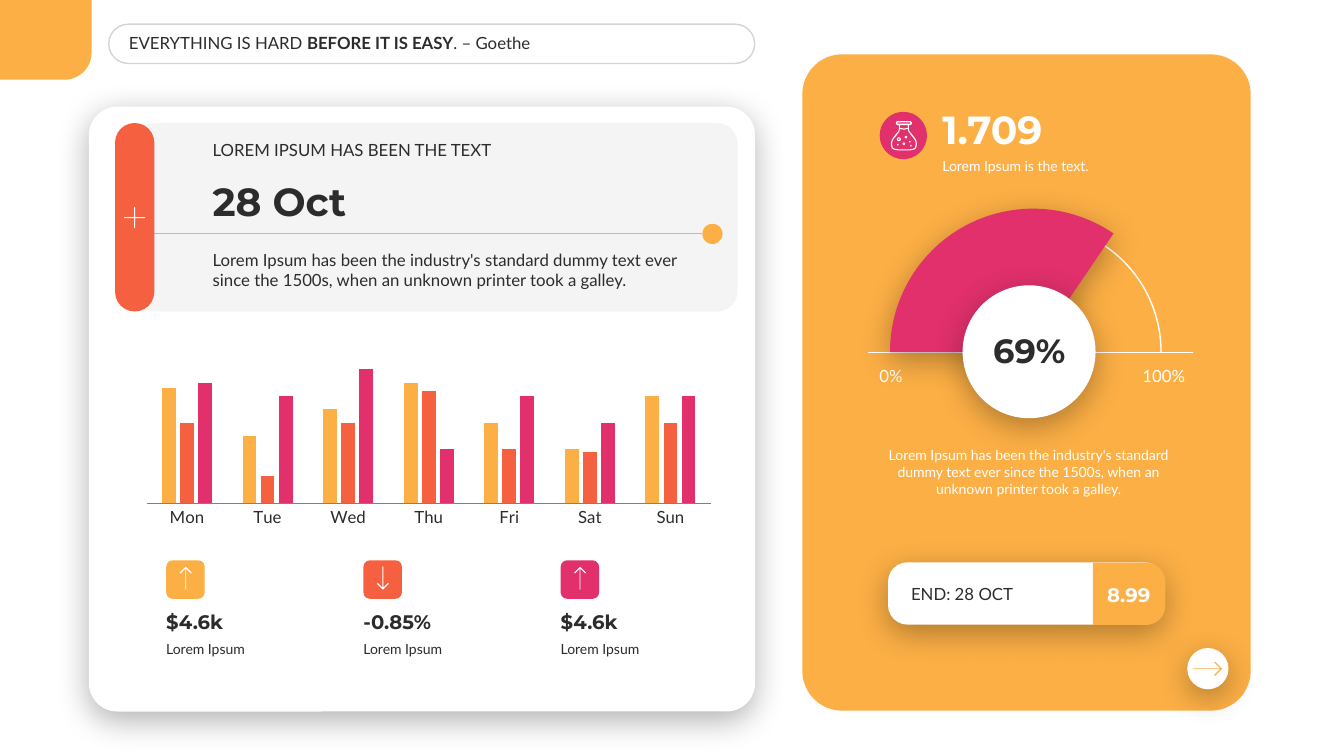
import math
import pptx
import pptx.chart.data
import pptx.dml.color
import pptx.enum.chart
import pptx.enum.shapes
import pptx.enum.text
import pptx.oxml.ns
import pptx.util

Cm, Pt, qn = pptx.util.Cm, pptx.util.Pt, pptx.oxml.ns.qn
SHAPE = pptx.enum.shapes.MSO_SHAPE
ANCHOR, ALIGN = pptx.enum.text.MSO_ANCHOR, pptx.enum.text.PP_ALIGN
AMBER, CORAL, PINK, WHITE, INK = "FCAF45", "F56040", "E1306C", "FFFFFF", "2C2C2C"
UP, DOWN, RIGHT = (0, -1), (0, 1), (1, 0)
CENTRED = {"align": ALIGN.CENTER, "anchor": ANCHOR.MIDDLE}
DUMMY = ("Lorem Ipsum has been the industry's standard dummy text ever since the 1500s, "
         "when an unknown printer took a galley.")

def colour(value):
    return pptx.dml.color.RGBColor.from_string(value)

def set_all(target, values):
    for name, value in values.items():
        setattr(target, name, value)

def add_xml(parent, tag, **attributes):
    child = parent.makeelement(qn(tag), {name: str(value) for name, value in attributes.items()})
    parent.append(child)
    return child

def set_alpha(shape, percent):
    for rgb in shape._element.spPr.iter(qn("a:srgbClr")):
        add_xml(rgb, "a:alpha", val=percent * 1000)

def paint(shape, fill=None, line=None, width=1):
    shape.shadow.inherit = False
    for part, value in ((shape.fill, fill), (shape.line.fill, line)):
        if value:
            part.solid()
            part.fore_color.rgb = colour(value)
        else:
            part.background()
    shape.line.width = Pt(width)

def add_figure(slide, kind, box, fill=None, line=None, adjust=(), shadow=False):
    shape = slide.shapes.add_shape(kind, *map(Cm, box))
    paint(shape, fill, line)
    for index, value in enumerate(adjust):
        shape.adjustments[index] = value
    if shadow:
        outer = add_xml(shape._element.spPr.find(qn("a:effectLst")), "a:outerShdw", blurRad=Pt(23),
                        dist=Pt(6), dir=5400000, algn="t", rotWithShape=0)
        add_xml(add_xml(outer, "a:srgbClr", val="000000"), "a:alpha", val=30000)
    return shape

def add_line(slide, start, end, line, width):
    connector = slide.shapes.add_connector(pptx.enum.shapes.MSO_CONNECTOR.STRAIGHT, *map(Cm, start + end))
    set_all(connector.line, {"width": Pt(width)})
    connector.line.color.rgb = colour(line)
    add_xml(connector._element.spPr, "a:effectLst")

def write_text(box, runs, size, font="Lato", ink=INK, align=ALIGN.LEFT, anchor=ANCHOR.TOP,
               side=0.25, edge=0.13, wrap=True):
    set_all(box.text_frame, {
        "word_wrap": wrap, "vertical_anchor": anchor, "margin_left": Cm(side), "margin_right": Cm(side),
        "margin_top": Cm(edge), "margin_bottom": Cm(edge),
        "auto_size": pptx.enum.text.MSO_AUTO_SIZE.SHAPE_TO_FIT_TEXT})
    paragraph = box.text_frame.paragraphs[0]
    paragraph.alignment = align
    for text, bold in runs:
        run = paragraph.add_run()
        run.text = text
        set_all(run.font, {"name": font, "size": Pt(size), "bold": bold})
        run.font.color.rgb = colour(ink)

def add_text(slide, box, text, size=12, bold=False, **style):
    write_text(slide.shapes.add_textbox(*map(Cm, box)), [(text, bold)], size, **style)

def add_heading(slide, box, text, size, anchor=ANCHOR.BOTTOM, **style):
    add_text(slide, box, text, size, True, font="Montserrat", anchor=anchor, **style)

def add_outline(slide, contours, fill):
    contours = [[(Cm(x), Cm(y)) for x, y in contour] for contour in contours]
    builder = slide.shapes.build_freeform(*contours[0][0])
    for contour in contours:
        builder.move_to(*contour[0])
        builder.add_line_segments(contour[1:], close=True)
    paint(builder.convert_to_shape(), fill)

def add_arrow(slide, centre, direction, length, head, fill):
    half, slant, tip = 0.01, 0.02, length / 2
    side = [(-tip, -half), (tip - 2 * slant - half, -half),
            (tip - head - slant, slant - head), (tip - head, -head)]
    points = side + [(tip, 0)] + [(x, -y) for x, y in reversed(side)]
    (cx, cy), (dx, dy) = centre, direction
    add_outline(slide, [[(cx + x * dx - y * dy, cy + x * dy + y * dx) for x, y in points]], fill)

def add_flask(slide, left, top, unit=0.0254):
    # Right halves of the symmetric contours, on a grid 26 wide and 29 high
    halves = [
        [(13, 0), (19, 0), (20.5, 0.6), (21, 2), (20.5, 3.4), (19, 4), (18, 4), (18, 8), (18.6, 10.5),
         (21, 13), (24, 17), (25.5, 20), (26, 23), (25, 27), (22.5, 28.6), (19, 29), (13, 29)],
        [(13, 1.3), (19, 1.3), (19.7, 2), (19, 2.7), (13, 2.7)],
        [(13, 4), (17, 4), (17, 6.8), (13, 7.5)],
        [(13, 8.6), (17, 7.8), (17.5, 10.5), (20, 13.8), (23, 17.5), (24.4, 20), (24.8, 23),
         (24, 26.4), (22, 27.6), (19, 28), (13, 28)]]
    contours = [half + [(26 - x, y) for x, y in reversed(half)] for half in halves]
    angles = [step * math.pi / 6 for step in range(12)]
    for x, y, radius in [(8, 18, 2), (8, 18, 0.8), (15, 16, 1.3), (13, 22.5, 1.3), (7, 23.5, 0.8),
                         (20, 24.5, 0.8), (19, 20.5, 0.8)]:
        contours.append([(x + radius * math.cos(a), y + radius * math.sin(a)) for a in angles])
    add_outline(slide, [[(left + x * unit, top + y * unit) for x, y in c] for c in contours], WHITE)

def add_week_chart(slide, box):
    data = pptx.chart.data.CategoryChartData()
    data.categories = ["Mon", "Tue", "Wed", "Thu", "Fri", "Sat", "Sun"]
    data.add_series("Series 1", (86, 50, 70, 90, 60, 40, 80))
    data.add_series("Series 2", (60, 20, 60, 84, 40, 38, 60))
    data.add_series("Series 3", (90, 80, 100, 40, 80, 60, 80))
    kind = pptx.enum.chart.XL_CHART_TYPE.COLUMN_CLUSTERED
    chart = slide.shapes.add_chart(kind, *map(Cm, box), data).chart
    set_all(chart, {"has_legend": False, "has_title": False})
    set_all(chart.font, {"name": "Lato", "size": Pt(12)})
    chart.font.color.rgb = colour(INK)
    set_all(chart.plots[0], {"gap_width": 220, "overlap": -30, "vary_by_categories": False})
    for series, fill in zip(chart.plots[0].series, (AMBER, CORAL, PINK)):
        series.format.fill.solid()
        series.format.fill.fore_color.rgb = colour(fill)
    set_all(chart.value_axis, {"visible": False, "has_major_gridlines": False,
                               "minimum_scale": 0, "maximum_scale": 120})
    chart.category_axis.major_tick_mark = pptx.enum.chart.XL_TICK_MARK.NONE
    chart.category_axis.format.line.color.rgb = colour("808080")
    chart.category_axis.format.line.width = Pt(0.75)
    # Inner plot area as shares of the chart
    area = chart._chartSpace.find(".//" + qn("c:plotArea"))
    for old in area.findall(qn("c:layout")):
        area.remove(old)
    layout = add_xml(area, "c:layout")
    area.insert(0, layout)
    manual = add_xml(layout, "c:manualLayout")
    for tag, value in {"layoutTarget": "inner", "xMode": "edge", "yMode": "edge",
                       "x": 0.02, "y": 0.02, "w": 0.96, "h": 0.83}.items():
        add_xml(manual, "c:" + tag, val=value)

def add_header(slide):
    title = slide.shapes.title
    set_all(title, {"left": Cm(3.15), "top": Cm(0.71), "width": Cm(15.44), "height": Cm(0.76)})
    write_text(title, [("EVERYTHING IS HARD ", False), ("BEFORE IT IS EASY", True), (". – Goethe", False)],
               12, anchor=ANCHOR.MIDDLE, side=0.1)
    set_alpha(add_figure(slide, SHAPE.ROUNDED_RECTANGLE, (2.74, 0.61, 16.28, 0.99), None, INK, [0.5]), 20)
    corner = add_figure(slide, SHAPE.ROUND_1_RECTANGLE, (0, 0, 2.31, 2.01), AMBER, adjust=[0.34])
    corner._element.spPr.find(qn("a:xfrm")).set("flipV", "1")

def add_week_card(slide):
    add_figure(slide, SHAPE.ROUNDED_RECTANGLE, (2.24, 2.69, 16.79, 15.24), WHITE, None, [0.047], True)
    # Date banner
    set_alpha(add_figure(slide, SHAPE.ROUNDED_RECTANGLE, (3.4, 3.1, 15.19, 4.75), INK, None, [0.109]), 5)
    add_text(slide, (5.11, 6.17, 12.95, 1.27), DUMMY)
    add_heading(slide, (5.11, 4.34, 12.95, 1.45), "28 Oct", 28)
    add_text(slide, (5.11, 3.4, 12.95, 0.76), "LOREM IPSUM HAS BEEN THE TEXT", anchor=ANCHOR.BOTTOM)
    add_line(slide, (3.66, 5.89), (17.7, 5.89), AMBER, 0.5)
    add_figure(slide, SHAPE.OVAL, (17.7, 5.64, 0.51, 0.51), AMBER)
    add_figure(slide, SHAPE.ROUNDED_RECTANGLE, (2.9, 3.1, 0.99, 4.75), CORAL, adjust=[0.5])
    add_figure(slide, SHAPE.CROSS, (3.13, 5.22, 0.53, 0.53), WHITE, adjust=[0.48])
    # Chart and indicators
    add_week_chart(slide, (3.4, 8.53, 14.81, 4.88))
    indicators = [(AMBER, UP, "$4.6k"), (CORAL, DOWN, "-0.85%"), (PINK, UP, "$4.6k")]
    for index, (fill, direction, value) in enumerate(indicators):
        left = 4.19 + 4.97 * index
        add_figure(slide, SHAPE.ROUNDED_RECTANGLE, (left, 14.12, 0.97, 0.97), fill)
        add_arrow(slide, (left + 0.49, 14.57), direction, 0.58, 0.15, WHITE)
        add_text(slide, (left, 16, 3.58, 0.69), "Lorem Ipsum", 10, side=0)
        add_heading(slide, (left, 15.24, 3.58, 0.86), value, 14, side=0)

def add_gauge_panel(slide):
    add_figure(slide, SHAPE.ROUNDED_RECTANGLE, (20.22, 1.37, 11.3, 16.54), AMBER, adjust=[0.089])
    add_text(slide, (23.5, 3.84, 6.93, 0.69), "Lorem Ipsum is the text.", 10, ink=WHITE)
    add_heading(slide, (23.5, 2.51, 6.93, 1.45), "1.709", 28, ink=WHITE)
    add_figure(slide, SHAPE.OVAL, (22.17, 2.82, 1.19, 1.19), PINK)
    add_flask(slide, 22.45, 3.05)
    # Gauge
    add_figure(slide, SHAPE.ARC, (22.81, 5.64, 6.45, 6.45), None, WHITE, [107.89, 0])
    add_line(slide, (21.87, 8.89), (30.07, 8.89), WHITE, 1)
    for left, width, label in ((22.05, 0.81, "0%"), (28.58, 1.5, "100%")):
        add_text(slide, (left, 9.12, width, 0.71), label, ink=WHITE, side=0, edge=0, wrap=False, **CENTRED)
    add_figure(slide, SHAPE.ARC, (22.43, 5.26, 7.21, 7.21), PINK, None, [107.89, 182.54], True)
    add_text(slide, (21.69, 11.13, 8.46, 1.55), DUMMY, 10, ink=WHITE, align=ALIGN.CENTER)
    add_figure(slide, SHAPE.OVAL, (24.26, 7.19, 3.35, 3.35), WHITE, shadow=True)
    add_heading(slide, (24.05, 8.18, 3.78, 1.27), "69%", 24, **CENTRED)
    # Next button, end date and price
    add_figure(slide, SHAPE.OVAL, (29.92, 16.33, 1.04, 1.04), WHITE, shadow=True)
    add_arrow(slide, (30.43, 16.85), RIGHT, 0.74, 0.18, AMBER)
    add_figure(slide, SHAPE.ROUNDED_RECTANGLE, (22.38, 14.17, 6.96, 1.57), WHITE, None, [0.311], True)
    add_text(slide, (22.71, 14.58, 4.98, 0.76), "END: 28 OCT", anchor=ANCHOR.MIDDLE)
    price = (27.67, 14.05, 1.57, 1.83)
    add_figure(slide, SHAPE.ROUND_2_SAME_RECTANGLE, price, AMBER, adjust=[0.311, 0]).rotation = 90
    add_heading(slide, (27.53, 14.55, 1.83, 0.86), "8.99", 14, ink=WHITE, side=0.1, **CENTRED)

def main():
    presentation = pptx.Presentation()
    set_all(presentation, {"slide_width": Cm(33.87), "slide_height": Cm(19.05)})
    slide = presentation.slides.add_slide(presentation.slide_layouts[5])
    for add_part in (add_header, add_week_card, add_gauge_panel):
        add_part(slide)
    presentation.save("out.pptx")

if __name__ == "__main__":
    main()
